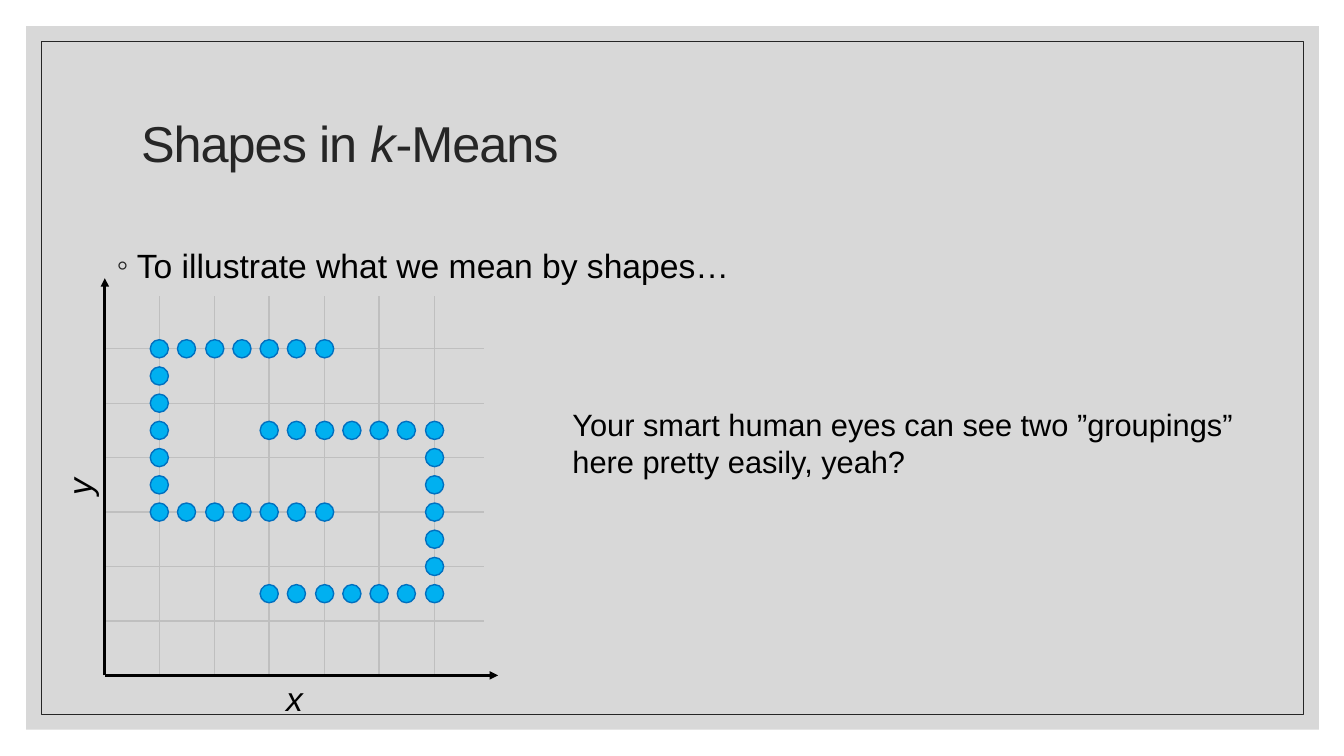
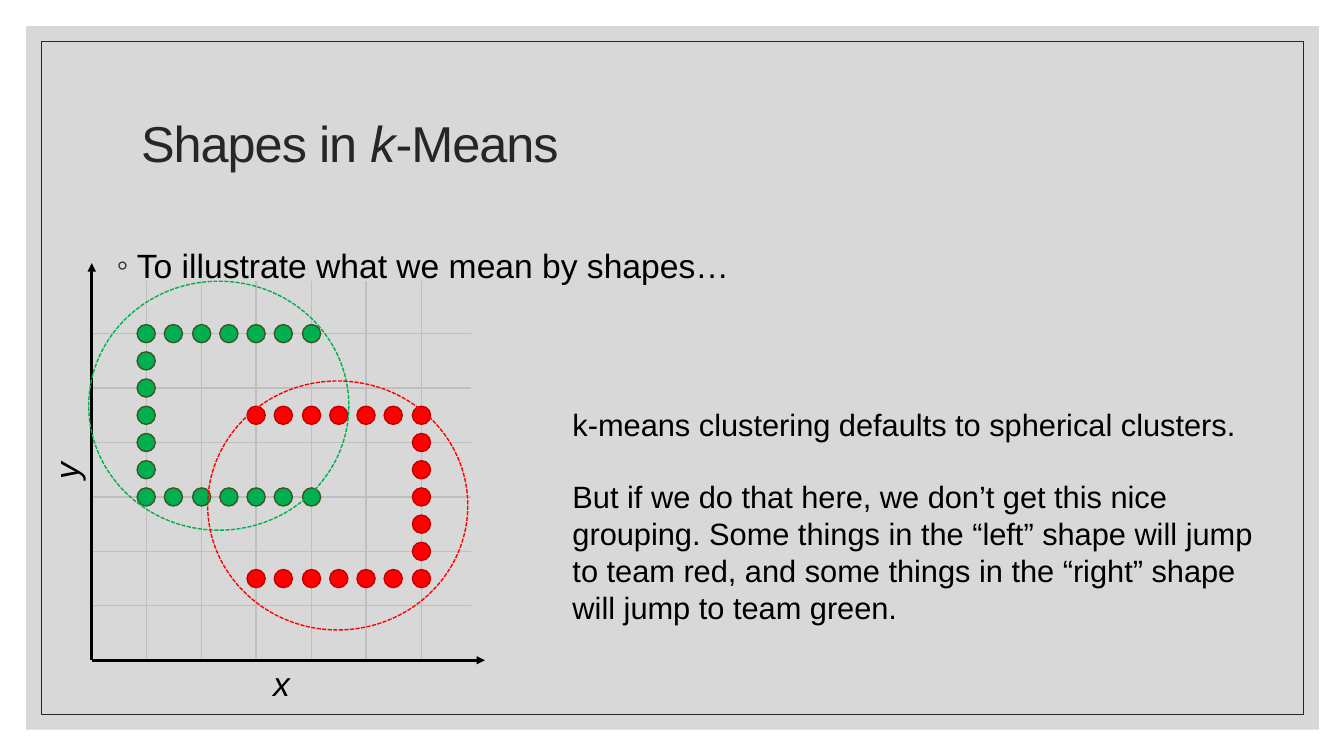
from lxml.etree import SubElement
from pptx import Presentation
from pptx.dml.color import RGBColor
from pptx.enum.dml import MSO_LINE
from pptx.enum.shapes import MSO_CONNECTOR, MSO_SHAPE
from pptx.enum.text import MSO_ANCHOR, PP_ALIGN
from pptx.oxml.ns import qn
from pptx.util import Pt

EMU_PER_PX = 9144
FONT = "Arial"
BLACK, INK, GRAY = "000000", "262626", "BFBFBF"
BLUE, GREEN, RED = ("00B0F0", "0070C0"), ("00B050", "385723"), ("FF0000", "C00000")
GRID_WIDTH, GRID_HEIGHT, HALF_STEPS = 327, 324, 12
LINE_LENGTH = 376
DOT = 18
LEFT_SHAPE = (
    [(column, 12) for column in range(2, 9)]
    + [(2, row) for row in range(11, 6, -1)]
    + [(column, 6) for column in range(2, 9)]
)
RIGHT_SHAPE = (
    [(column, 9) for column in range(6, 13)]
    + [(12, row) for row in range(8, 3, -1)]
    + [(column, 3) for column in range(6, 13)]
)


def px(*lengths):
    """Turn px lengths into EMU."""
    return [length * EMU_PER_PX for length in lengths]


def color(code):
    """Return the colour of a hex string."""
    return RGBColor.from_string(code)


def write_text(frame, paragraphs, size=22, ink=BLACK, italic=False, line_spacing=None,
               before=0, gap=0, tracking=None):
    """Fill a text frame with paragraphs, each a list of spans; *span* flips to italic."""
    for index, spans in enumerate(paragraphs):
        para = frame.add_paragraph() if index else frame.paragraphs[0]
        para.alignment = PP_ALIGN.LEFT
        para.space_before = Pt(gap if index else before)
        if line_spacing:
            para.line_spacing = line_spacing
        for text in spans:
            span = para.add_run()
            span.text = text.strip("*")
            span.font.name = FONT
            span.font.size = Pt(size)
            span.font.italic = italic or text.startswith("*")
            span.font.color.rgb = color(ink)
            if tracking:
                span.font._element.set("spc", str(tracking))


def add_text(shapes, place, paragraphs, wrap=True, rotation=0, **style):
    """Add a text box."""
    box = shapes.add_textbox(*px(*place))
    box.rotation = rotation
    box.text_frame.word_wrap = wrap
    write_text(box.text_frame, paragraphs, **style)
    return box


def add_shape(shapes, kind, place, fill=None, line=None, width=1, dash=None):
    """Add a preset shape without shadow."""
    shape = shapes.add_shape(kind, *px(*place))
    shape.shadow.inherit = False
    if fill:
        shape.fill.solid()
        shape.fill.fore_color.rgb = color(fill)
    else:
        shape.fill.background()
    if line:
        shape.line.color.rgb = color(line)
        shape.line.width = Pt(width)
        if dash:
            shape.line.dash_style = dash
    else:
        shape.line.fill.background()
    return shape


def add_line(shapes, start, end, ink=GRAY, width=1, arrow=False):
    """Add a straight line, with an arrowhead at its end if asked."""
    line = shapes.add_connector(MSO_CONNECTOR.STRAIGHT, *px(*start, *end))
    line.line.color.rgb = color(ink)
    line.line.width = Pt(width)
    if arrow:
        SubElement(line.line._get_or_add_ln(), qn("a:tailEnd"), type="triangle")
    SubElement(line._element.spPr, qn("a:effectLst"))


def add_frame(page):
    """Put the gray panel and its thin border on the layout of a page."""
    panel = add_shape(page.shapes, MSO_SHAPE.RECTANGLE, (26, 26, 1282, 698), fill=GRAY)
    tint = panel._element.spPr.find(qn("a:solidFill"))[0]
    SubElement(tint, qn("a:alpha"), val="60000")
    border = add_shape(page.shapes, MSO_SHAPE.RECTANGLE, (41, 41, 1252, 668), line=INK, width=0.5)
    for index, shape in enumerate((panel, border)):
        page.slide_layout.shapes.element.insert(2 + index, shape.element)


def add_heading(page):
    """Write the title and the bulleted lead line."""
    title = page.shapes.title
    title.left, title.top, title.width, title.height = px(117, 70, 1100, 150)
    title.text_frame.vertical_anchor = MSO_ANCHOR.MIDDLE
    write_text(title.text_frame, [[" Shapes in ", "*k*", "-Means"]], size=36, ink=INK,
               line_spacing=0.9, tracking=-70)
    lead = add_text(page.shapes, (106, 230, 1110, 421), [["To illustrate what we mean by shapes…"]],
                    size=24, line_spacing=1.2, before=9)
    settings = lead.text_frame.paragraphs[0]._p.get_or_add_pPr()
    settings.set("marL", str(20 * EMU_PER_PX))
    settings.set("indent", str(-20 * EMU_PER_PX))
    bullet_color = SubElement(settings, qn("a:buClr"))
    SubElement(bullet_color, qn("a:srgbClr"), val=INK)
    SubElement(settings, qn("a:buFont"), typeface=FONT)
    SubElement(settings, qn("a:buChar"), char="◦")


def grid_point(origin, column, row):
    """Return the px position of a half-step grid point."""
    left, bottom = origin
    return left + column * GRID_WIDTH // HALF_STEPS, bottom - row * GRID_HEIGHT // HALF_STEPS


def add_axes(page, origin):
    """Draw the grouped grid, axes and axis labels."""
    left, bottom = origin
    shapes = page.shapes.add_group_shape().shapes
    for step in range(2, HALF_STEPS + 1, 2):
        x, y = grid_point(origin, step, step)
        add_line(shapes, (x, bottom), (x, bottom - LINE_LENGTH))
        add_line(shapes, (left, y), (left + LINE_LENGTH, y))
    for end in ((left, bottom - 394), (left + 390, bottom)):
        add_line(shapes, origin, end, ink=BLACK, width=2, arrow=True)
    add_text(shapes, (left + 170, bottom - 2, 37, 50), [["x"]], wrap=False, size=24, italic=True)
    add_text(shapes, (left - 45, bottom - 213, 38, 50), [["y"]], wrap=False, rotation=270,
             size=24, italic=True)


def add_dots(page, origin, points, colors):
    """Draw one dot at each grid point."""
    fill, line = colors
    for column, row in points:
        x, y = grid_point(origin, column, row)
        place = (x - DOT // 2, y - DOT // 2, DOT, DOT)
        add_shape(page.shapes, MSO_SHAPE.OVAL, place, fill=fill, line=line)


def add_cluster(page, x, y, ink):
    """Draw a dashed cluster outline."""
    add_shape(page.shapes, MSO_SHAPE.OVAL, (x, y, 258, 247), line=ink, dash=MSO_LINE.SQUARE_DOT)


def add_page(deck, origin, note, note_height, left_colors, right_colors):
    """Add a slide with heading, scatter plot and side note."""
    page = deck.slides.add_slide(deck.slide_layouts[5])
    add_heading(page)
    add_axes(page, origin)
    add_dots(page, origin, LEFT_SHAPE, left_colors)
    add_dots(page, origin, RIGHT_SHAPE, right_colors)
    add_text(page.shapes, (558, 398, 713, note_height), note, gap=25)
    return page


def main():
    """Build and save the deck."""
    deck = Presentation()
    deck.slide_width, deck.slide_height = px(1333, 750)
    groupings = add_page(
        deck, (104, 670),
        [["Your smart human eyes can see two ”groupings” here pretty easily, yeah?"]],
        84, BLUE, BLUE)
    add_frame(groupings)
    clusters = add_page(
        deck, (91, 655),
        [["k-means clustering defaults to spherical clusters."],
         ["But if we do that here, we don’t get this nice grouping. Some things in the “left” "
          "shape will jump to team red, and some things in the “right” shape will jump to "
          "team green."]],
        232, GREEN, RED)
    add_cluster(clusters, 88, 279, GREEN[0])
    add_cluster(clusters, 206, 378, RED[0])
    deck.save("out.pptx")


if __name__ == "__main__":
    main()
